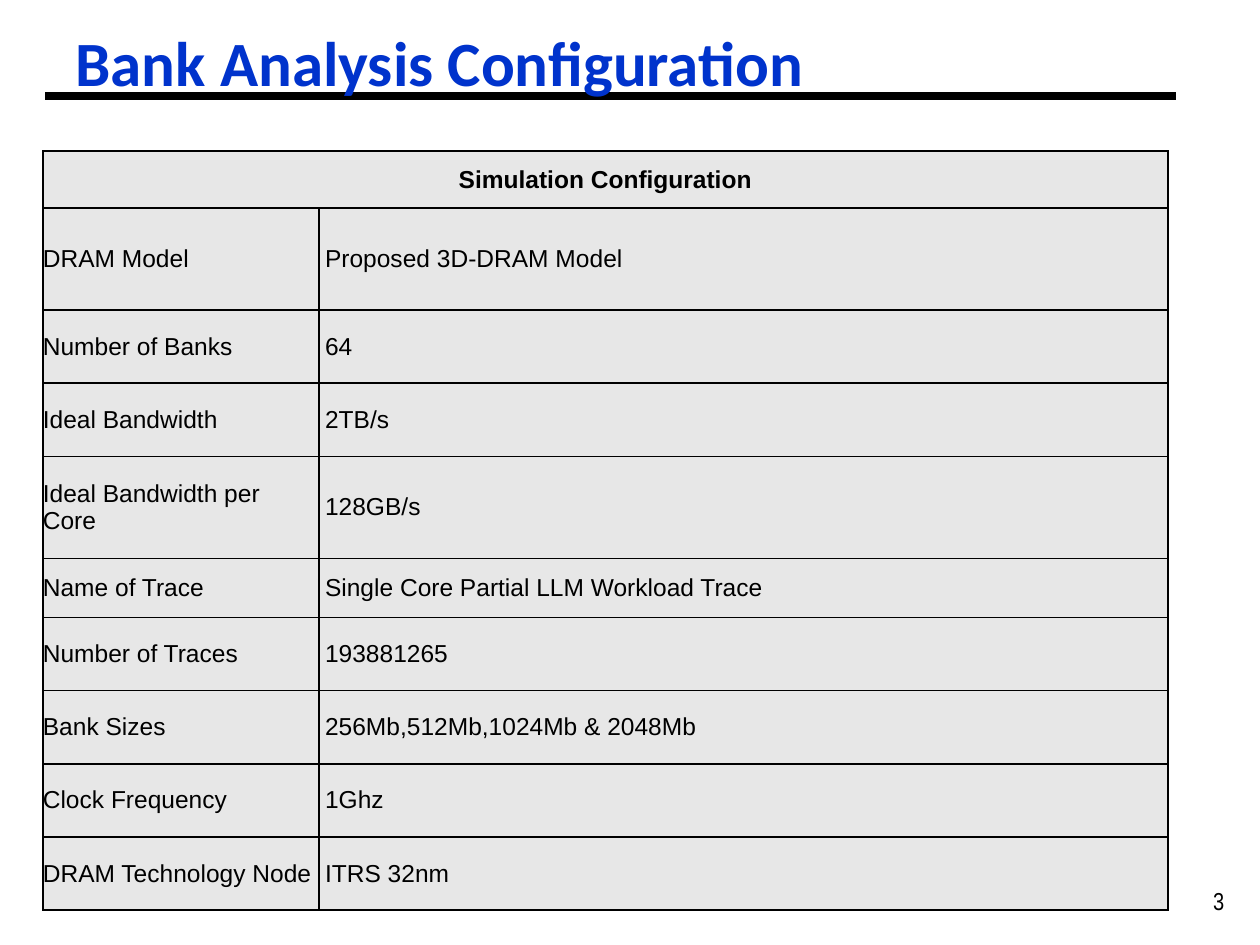
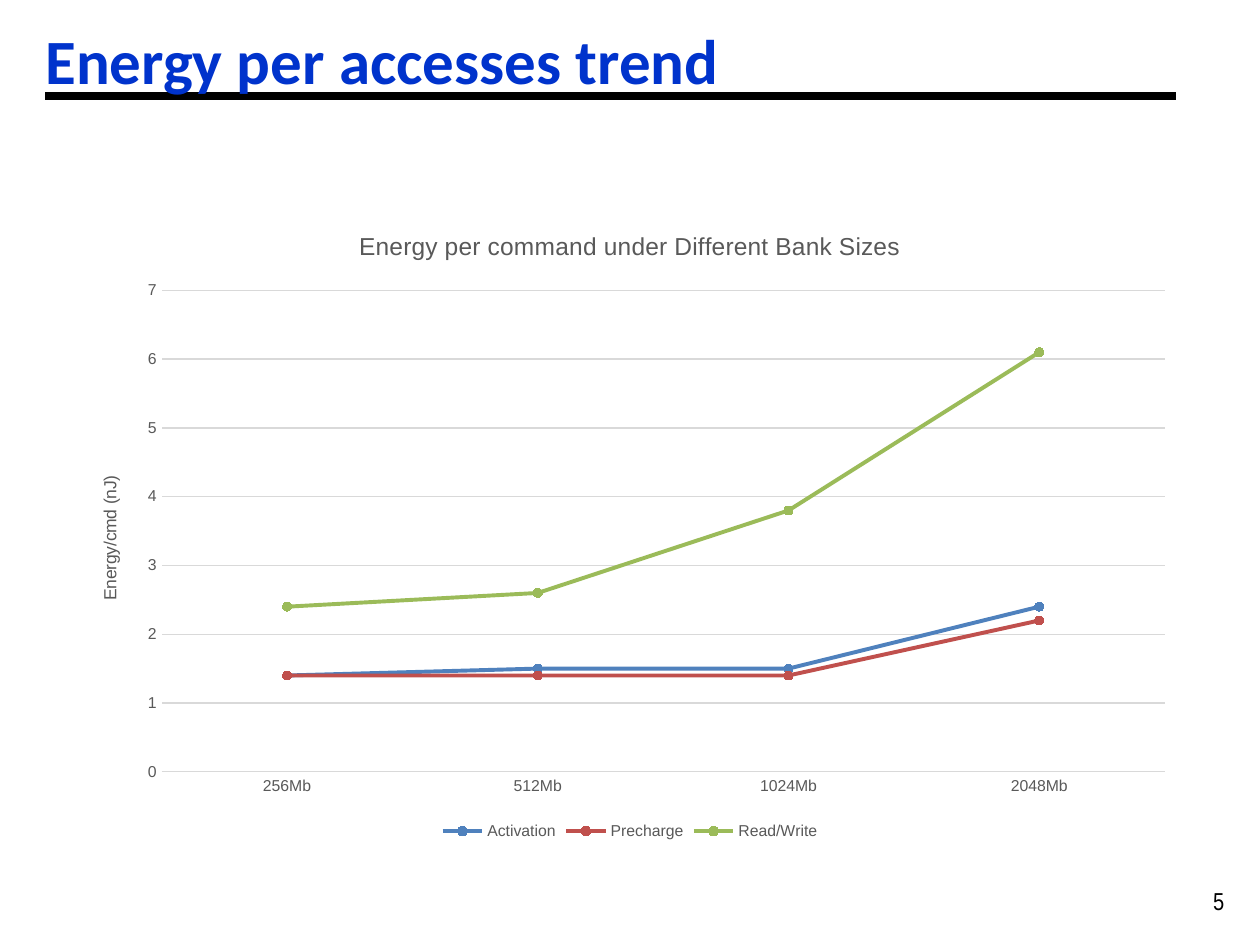
from dataclasses import dataclass

from lxml import etree
from pptx import Presentation
from pptx.chart.data import CategoryChartData
from pptx.dml.color import RGBColor
from pptx.enum.chart import XL_CHART_TYPE, XL_LEGEND_POSITION, XL_MARKER_STYLE, XL_TICK_MARK
from pptx.enum.shapes import MSO_CONNECTOR
from pptx.enum.text import MSO_ANCHOR, MSO_AUTO_SIZE, PP_ALIGN
from pptx.oxml.ns import qn
from pptx.util import Emu, Inches, Pt

LINE_MARKERS = XL_CHART_TYPE.LINE_MARKERS
LEGEND_BOTTOM = XL_LEGEND_POSITION.BOTTOM
CIRCLE = XL_MARKER_STYLE.CIRCLE
NO_TICK = XL_TICK_MARK.NONE
STRAIGHT = MSO_CONNECTOR.STRAIGHT
BOTTOM, MIDDLE = MSO_ANCHOR.BOTTOM, MSO_ANCHOR.MIDDLE
NO_FIT = MSO_AUTO_SIZE.NONE
LEFT, CENTER = PP_ALIGN.LEFT, PP_ALIGN.CENTER
TITLE_ONLY = 5
COLS, ROWS = 100, 75  # slide grid


@dataclass(frozen=True)
class Theme:
    title: str = "0033CC"
    ink: str = "000000"
    cell: str = "E7E7E7"
    chart_text: str = "595959"
    grid: str = "D9D9D9"
    series: tuple = ("4F81BD", "C0504D", "9BBB59")
    title_font: str = "Calibri"
    body_font: str = "Arial"
    number_font: str = "Arial Narrow"
    title_size: float = 36
    body_size: float = 14
    axis_title_size: float = 10
    label_size: float = 9
    rule_width: float = 4.5
    series_width: float = 2.25
    border_width: float = 1
    grid_width: float = 0.75


class Deck:
    def __init__(self, prs, theme):
        self.prs, self.theme, self.s = prs, theme, None

    def box(self, left, top, width, height):
        """Turn grid columns and rows into slide lengths."""
        col, row = self.prs.slide_width / COLS, self.prs.slide_height / ROWS
        return [Emu(round(v)) for v in (left * col, top * row, width * col, height * row)]

    def font(self, font, size, color, name=None, bold=False):
        font.name = name or self.theme.body_font
        font.size, font.bold = Pt(size), bold
        font.color.rgb = RGBColor.from_string(color)

    def line(self, line, color, width):
        line.color.rgb = RGBColor.from_string(color)
        line.width = Pt(width)

    # Slide frame: page number, rule and title
    def slide(self, title, number, title_box):
        self.s = self.prs.slides.add_slide(self.prs.slide_layouts[TITLE_ONLY])
        self.page_number(number)
        self.rule()
        self.title(title, title_box)

    def page_number(self, number):
        t = self.theme
        tf = self.s.shapes.add_textbox(*self.box(95.3, 69.8, 4.7, 3.3)).text_frame
        tf.word_wrap = True
        tf.text = str(number)
        self.font(tf.paragraphs[0].runs[0].font, t.body_size, t.ink, t.number_font)

    def rule(self):
        x, y, w, _ = self.box(3.6, 7.6, 89.7, 0)
        sp = self.s.shapes.add_connector(STRAIGHT, x, y, x + w, y)
        self.line(sp.line, self.theme.ink, self.theme.rule_width)
        etree.SubElement(sp.element.spPr, qn("a:effectLst"))

    def title(self, text, title_box):
        t, sp = self.theme, self.s.shapes.title
        sp.left, sp.top, sp.width, sp.height = self.box(*title_box)
        tf = sp.text_frame
        tf.text = text
        tf.auto_size, tf.word_wrap, tf.vertical_anchor = NO_FIT, True, BOTTOM
        tf.margin_left = 0
        p = tf.paragraphs[0]
        p.alignment = LEFT
        self.font(p.runs[0].font, t.title_size, t.title, t.title_font, True)
        sp.element.getparent().append(sp.element)  # title lies over the rule

    # Table with one merged heading row
    def table(self, heading, records, left, top, widths, heights):
        frame = self.s.shapes.add_table(len(heights), len(widths), *self.box(
            left, top, sum(widths), sum(heights)))
        tbl = frame.table
        tbl.first_row = tbl.horz_banding = False
        for column, width in zip(tbl.columns, widths):
            column.width = self.box(0, 0, width, 0)[2]
        for row, height in zip(tbl.rows, heights):
            row.height = self.box(0, 0, 0, height)[3]
        tbl.cell(0, 0).merge(tbl.cell(0, len(widths) - 1))
        for i, texts in enumerate([(heading, "")] + records):
            for j, text in enumerate(texts):
                self.cell(tbl.cell(i, j), text, heading=i == 0, indent=0.05 * j)

    def cell(self, cell, text, heading, indent):
        t = self.theme
        cell.text = text
        cell.vertical_anchor = MIDDLE
        cell.margin_left = Inches(indent)
        cell.margin_right = cell.margin_top = cell.margin_bottom = 0
        cell.fill.solid()
        cell.fill.fore_color.rgb = RGBColor.from_string(t.cell)
        p = cell.text_frame.paragraphs[0]
        p.alignment = CENTER if heading else LEFT
        for r in p.runs:
            self.font(r.font, t.body_size, t.ink, bold=heading)
        # Borders come before the fill
        tcPr = cell._tc.get_or_add_tcPr()
        for i, side in enumerate("LRTB"):
            ln = etree.Element(qn(f"a:ln{side}"), w=str(Pt(t.border_width)))
            fill = etree.SubElement(ln, qn("a:solidFill"))
            etree.SubElement(fill, qn("a:srgbClr"), val=t.ink)
            tcPr.insert(i, ln)

    # Line chart with markers
    def line_chart(self, title, value_title, categories, series, box, top_value):
        t = self.theme
        data = CategoryChartData()
        data.categories = categories
        for name, values in series.items():
            data.add_series(name, values)
        chart = self.s.shapes.add_chart(LINE_MARKERS, *self.box(*box), data).chart
        self.font(chart.font, t.axis_title_size, t.ink)
        chart.has_title = True
        self.chart_title(chart.chart_title.text_frame, title, t.body_size)
        chart.has_legend = True
        chart.legend.position = LEGEND_BOTTOM
        chart.legend.include_in_layout = False
        self.font(chart.legend.font, t.label_size, t.chart_text)
        self.axes(chart, value_title, top_value)
        plot = chart.plots[0]
        plot.vary_by_categories = False
        for ser, color in zip(plot.series, t.series):
            ser.smooth = False
            self.line(ser.format.line, color, t.series_width)
            ser.marker.style, ser.marker.size = CIRCLE, 5
            fmt = ser.marker.format
            fmt.fill.solid()
            fmt.fill.fore_color.rgb = RGBColor.from_string(color)
            self.line(fmt.line, color, t.grid_width)

    def chart_title(self, tf, text, size):
        tf.text = text
        self.font(tf.paragraphs[0].runs[0].font, size, self.theme.chart_text)

    def axes(self, chart, value_title, top_value):
        t, cat, val = self.theme, chart.category_axis, chart.value_axis
        for axis in (cat, val):
            axis.major_tick_mark = axis.minor_tick_mark = NO_TICK
            self.font(axis.tick_labels.font, t.label_size, t.chart_text)
        self.line(cat.format.line, t.grid, t.grid_width)
        val.format.line.fill.background()
        val.minimum_scale, val.maximum_scale, val.major_unit = 0, top_value, 1
        val.has_major_gridlines = True
        self.line(val.major_gridlines.format.line, t.grid, t.grid_width)
        val.has_title = True
        tf = val.axis_title.text_frame
        self.chart_title(tf, value_title, t.axis_title_size)
        body = tf._txBody.find(qn("a:bodyPr"))
        body.set("rot", "-5400000")
        body.set("vert", "horz")


def main():
    prs = Presentation()
    prs.slide_width, prs.slide_height = Inches(10), Inches(7.5)
    deck = Deck(prs, Theme())

    # Configuration table
    deck.slide("Bank Analysis Configuration", 3, (6, 1.3, 84.2, 7.1))
    settings = [
        ("DRAM Model", "Proposed 3D-DRAM Model"),
        ("Number of Banks", "64"),
        ("Ideal Bandwidth", "2TB/s"),
        ("Ideal Bandwidth per Core", "128GB/s"),
        ("Name of Trace", "Single Core Partial LLM Workload Trace"),
        ("Number of Traces", "193881265"),
        ("Bank Sizes", "256Mb,512Mb,1024Mb & 2048Mb"),
        ("Clock Frequency", "1Ghz"),
        ("DRAM Technology Node", "ITRS 32nm"),
    ]
    normal, tall = 5.81, 8.1
    heights = [4.5, tall, normal, normal, tall, 4.7] + [normal] * 4
    deck.table("Simulation Configuration", settings, 3.4, 12, (21.9, 67.4), heights)

    # Energy chart
    deck.slide("Energy per accesses trend", 5, (3.6, 1.1, 95, 7.1))
    energy = {
        "Activation": (1.4, 1.5, 1.5, 2.4),
        "Precharge": (1.4, 1.4, 1.4, 2.2),
        "Read/Write": (2.4, 2.6, 3.8, 6.1),
    }
    deck.line_chart("Energy per command under Different Bank Sizes", "Energy/cmd (nJ)",
                    ("256Mb", "512Mb", "1024Mb", "2048Mb"), energy,
                    (5.8, 16.4, 88.4, 50.7), top_value=7)

    prs.save("out.pptx")


if __name__ == "__main__":
    main()
